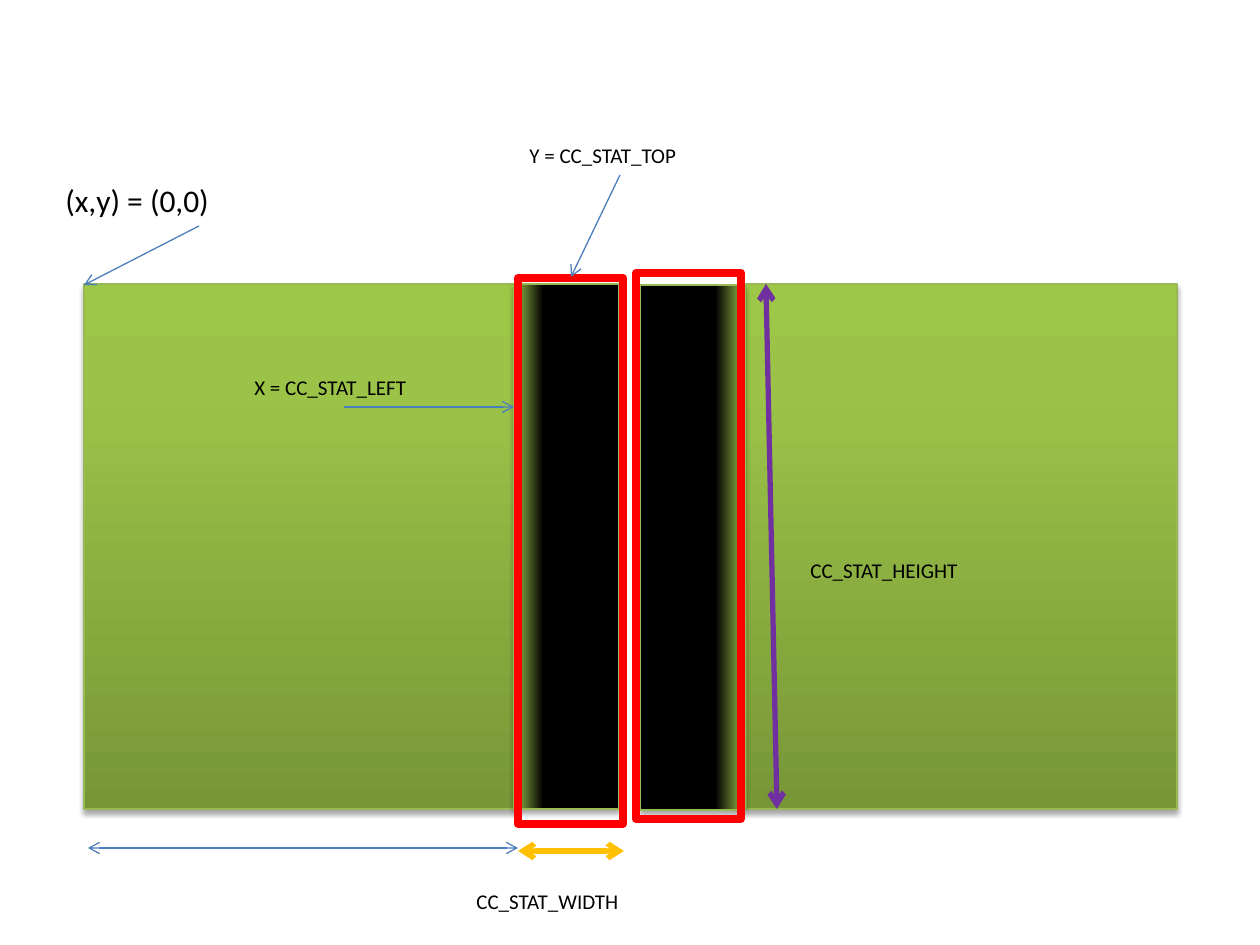
from lxml.etree import SubElement
from pptx import Presentation
from pptx.dml.color import RGBColor
from pptx.enum.shapes import MSO_CONNECTOR as CONN, MSO_SHAPE as SHAPE
from pptx.enum.text import MSO_AUTO_SIZE as AUTO
from pptx.oxml.ns import qn
from pptx.util import Emu, Pt

PX = 914400 // 126
GREEN = [(0, "779737"), (80, "9BC348"), (100, "9DC746")]
BAND = [(72, "000000"), (100, "9BC348"), (100, "9DC746")]


def px(*values):
    return [Emu(v * PX) for v in values]


def rgb(value):
    return RGBColor.from_string(value)


class Diagram:
    font = "Calibri"
    blue = "4B7EBC"
    edge = "98B955"

    def __init__(self, slide):
        self.s = slide

    def rect(self, box, color, width):
        sp = self.s.shapes.add_shape(SHAPE.RECTANGLE, *px(*box))
        sp.shadow.inherit = False
        sp.fill.background()
        sp.line.color.rgb = rgb(color)
        sp.line.width = Pt(width)
        return sp

    def panel(self, box, stops, angle, flip=False):
        sp = self.rect(box, self.edge, 0.75)
        sp.fill.gradient()
        sp.fill.gradient_angle = angle
        pr = sp._element.spPr
        gs_list = pr.find(qn("a:gradFill")).find(qn("a:gsLst"))
        for gs in list(gs_list):
            gs_list.remove(gs)
        for pos, color in stops:
            gs = SubElement(gs_list, qn("a:gs"), pos=str(pos * 1000))
            SubElement(gs, qn("a:srgbClr"), val=color)
        shadow = SubElement(pr.find(qn("a:effectLst")), qn("a:outerShdw"),
                            blurRad=str(Pt(3.1)), dist=str(Pt(1.8)),
                            dir="5400000", rotWithShape="0")
        clr = SubElement(shadow, qn("a:srgbClr"), val="000000")
        SubElement(clr, qn("a:alpha"), val="35000")
        if flip:
            pr.find(qn("a:xfrm")).set("flipH", "1")

    def arrow(self, ends, color=blue, width=0.75, both=False):
        c = self.s.shapes.add_connector(CONN.STRAIGHT, *px(*ends))
        c.line.color.rgb = rgb(color)
        c.line.width = Pt(width)
        ln = c.line._get_or_add_ln()
        for tag in ["a:headEnd"] * both + ["a:tailEnd"]:
            SubElement(ln, qn(tag), type="arrow")
        SubElement(c._element.spPr, qn("a:effectLst"))

    def label(self, text, box, size=12):
        tf = self.s.shapes.add_textbox(*px(*box)).text_frame
        tf.word_wrap = True
        tf.auto_size = AUTO.SHAPE_TO_FIT_TEXT
        tf.text = text
        f = tf.paragraphs[0].runs[0].font
        f.name, f.size = self.font, Pt(size)
        f.color.rgb = rgb("000000")


prs = Presentation()
prs.slide_width, prs.slide_height = px(1260, 945)
d = Diagram(prs.slides.add_slide(prs.slide_layouts[6]))

for left in (84, 746):
    d.panel((left, 284, 431, 525), GREEN, 90)
d.panel((640, 285, 105, 525), BAND, 0)
d.panel((514, 284, 105, 525), BAND, 0, flip=True)
for left, top in ((518, 278), (636, 273)):
    d.rect((left, top, 105, 546), "FF0000", 4.5)

d.arrow((88, 848, 518, 848), both=True)
d.arrow((518, 851, 624, 851), "FFC000", 3, both=True)
d.arrow((766, 284, 777, 809), "7030A0", 3, both=True)
for ends in ((344, 407, 514, 407), (620, 175, 571, 277), (199, 226, 84, 285)):
    d.arrow(ends)

for text, left, top in (
    ("X = CC_STAT_LEFT", 242, 368),
    ("Y = CC_STAT_TOP", 517, 136),
    ("CC_STAT_WIDTH", 464, 882),
    ("CC_STAT_HEIGHT", 798, 551),
):
    d.label(text, (left, top, 207, 38))
d.label("(x,y) = (0,0)", (53, 175, 292, 51), 18)

prs.save("out.pptx")
